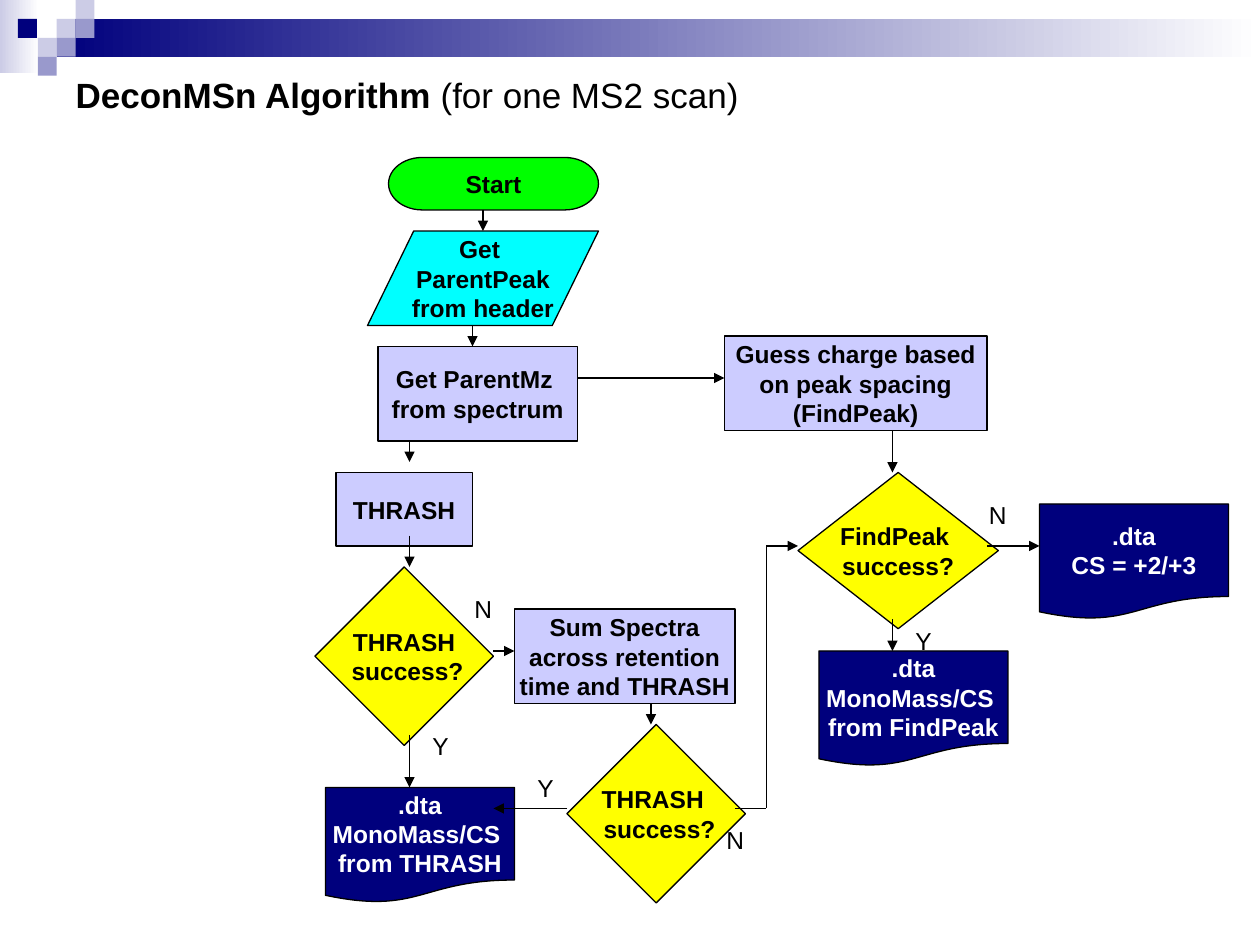
from dataclasses import dataclass
from typing import Any, NamedTuple

from lxml.etree import SubElement
from pptx import Presentation
from pptx.dml.color import RGBColor
from pptx.enum.shapes import MSO_CONNECTOR, MSO_SHAPE
from pptx.enum.text import MSO_ANCHOR, MSO_AUTO_SIZE, PP_ALIGN
from pptx.oxml.ns import qn
from pptx.util import Pt


@dataclass(frozen=True)
class Theme:
    font: str = "Arial"
    title: float = 20
    body: float = 14
    line: float = 0.74
    black: str = "000000"
    white: str = "FFFFFF"
    navy: str = "00007D"
    pale: str = "CCCCE6"
    mid: str = "9999CC"
    green: str = "00FF00"
    cyan: str = "00FFFF"
    lilac: str = "CCCCFF"
    yellow: str = "FFFF00"


class Kind(NamedTuple):
    form: MSO_SHAPE
    fill: str
    ink: str


class Node(NamedTuple):
    kind: Kind
    left: float
    top: float
    width: float
    height: float
    text: str


class Link(NamedTuple):
    x1: float
    y1: float
    x2: float
    y2: float
    head: bool = True


class Label(NamedTuple):
    text: str
    left: float
    top: float


class Band(NamedTuple):
    left: float
    top: float
    width: float
    height: float
    start: str


class Tile(NamedTuple):
    col: float
    row: float
    fill: str


LOOK = Theme()
TILE = 10.8

START = Kind(MSO_SHAPE.FLOWCHART_TERMINATOR, LOOK.green, LOOK.black)
INPUT = Kind(MSO_SHAPE.FLOWCHART_DATA, LOOK.cyan, LOOK.black)
STEP = Kind(MSO_SHAPE.FLOWCHART_PROCESS, LOOK.lilac, LOOK.black)
TEST = Kind(MSO_SHAPE.FLOWCHART_DECISION, LOOK.yellow, LOOK.black)
FILE = Kind(MSO_SHAPE.FLOWCHART_DOCUMENT, LOOK.navy, LOOK.white)

BANDS = [
    Band(0, 0, 22.3, 42, LOOK.pale),
    Band(32.4, TILE, 687.6, 21.6, LOOK.navy),
]
TILES = [
    Tile(3, 1, LOOK.pale),
    Tile(4, 0, LOOK.pale),
    Tile(4, 1, LOOK.mid),
    Tile(2, 2, LOOK.pale),
    Tile(0.95, 1, LOOK.navy),
    Tile(3, 2, LOOK.mid),
    Tile(2, 3, LOOK.mid),
]
NODES = [
    Node(START, 222, 90, 120, 30, "Start"),
    Node(INPUT, 210, 132, 132, 54, "Get \nParentPeak\nfrom header"),
    Node(STEP, 216, 198, 114, 54, "Get ParentMz \nfrom spectrum"),
    Node(STEP, 414, 192, 150, 54, "Guess charge based\non peak spacing\n(FindPeak)"),
    Node(STEP, 192, 270, 78, 42, "THRASH"),
    Node(FILE, 594, 288, 108, 66, ".dta\nCS = +2/+3"),
    Node(TEST, 180, 324, 102, 102, "THRASH\n success?"),
    Node(TEST, 456, 270, 114.5, 89.3, "FindPeak \nsuccess?"),
    Node(STEP, 294, 348, 126, 54, "Sum Spectra\nacross retention\ntime and THRASH"),
    Node(TEST, 324, 414, 102, 102, "THRASH \n success?"),
    Node(FILE, 186, 450, 108, 66, ".dta\nMonoMass/CS \nfrom THRASH"),
    Node(FILE, 468, 372, 108, 66, ".dta\nMonoMass/CS \nfrom FindPeak"),
]
LINKS = [
    Link(276, 120, 276, 132),
    Link(270, 186, 270, 198),
    Link(234, 252, 234, 264),
    Link(234, 306, 234, 324),
    Link(330, 216, 414, 216),
    Link(510, 246, 510, 270),
    Link(234, 420, 234, 450),
    Link(282, 372, 294, 372),
    Link(372, 402, 372, 414),
    Link(324, 462, 282, 462),
    Link(420, 462, 438, 462, False),
    Link(438, 312, 438, 462, False),
    Link(438, 312, 456, 312),
    Link(510, 354, 510, 372),
    Link(564, 312, 594, 312),
]
LABELS = [
    Label("N", 264, 336),
    Label("N", 408, 468),
    Label("Y", 240, 414),
    Label("Y", 300, 438),
    Label("N", 558, 282),
    Label("Y", 516, 354),
]


def apply(item: Any, values: dict[str, Any]) -> None:
    for name, value in values.items():
        setattr(item, name, value)


def style(run: Any, size: float, ink: str, bold: bool) -> None:
    apply(run.font, {"name": LOOK.font, "size": Pt(size), "bold": bold})
    run.font.color.rgb = RGBColor.from_string(ink)


def write(frame: Any, text: str, ink: str, bold: bool, form: dict[str, Any]) -> None:
    frame.text = text
    for para in frame.paragraphs:
        apply(para, form)
        for run in para.runs:
            style(run, LOOK.body, ink, bold)


def block(slide: Any, form: MSO_SHAPE, *box: float) -> Any:
    shape = slide.shapes.add_shape(form, *map(Pt, box))
    shape.shadow.inherit = False
    shape.line.fill.background()
    return shape


def paint(shape: Any, fill: str) -> None:
    shape.fill.solid()
    shape.fill.fore_color.rgb = RGBColor.from_string(fill)


def rule(line: Any) -> None:
    line.width = Pt(LOOK.line)
    line.color.rgb = RGBColor.from_string(LOOK.black)


def add_band(slide: Any, band: Band) -> None:
    shape = block(slide, MSO_SHAPE.RECTANGLE, *band[:4])
    shape.fill.gradient()
    shape.fill.gradient_angle = 0
    for stop, tint in zip(shape.fill.gradient_stops, (band.start, LOOK.white)):
        stop.color.rgb = RGBColor.from_string(tint)


def add_tile(slide: Any, tile: Tile) -> None:
    box = (tile.col * TILE, tile.row * TILE, TILE, TILE)
    paint(block(slide, MSO_SHAPE.RECTANGLE, *box), tile.fill)


def add_node(slide: Any, node: Node) -> None:
    shape = block(slide, node.kind.form, *node[1:5])
    paint(shape, node.kind.fill)
    rule(shape.line)
    frame = shape.text_frame
    apply(frame, {"word_wrap": False, "vertical_anchor": MSO_ANCHOR.MIDDLE})
    write(frame, node.text, node.kind.ink, True, {"alignment": PP_ALIGN.CENTER})


def add_link(slide: Any, link: Link) -> None:
    wire = slide.shapes.add_connector(MSO_CONNECTOR.STRAIGHT, *map(Pt, link[:4]))
    rule(wire.line)
    if link.head:
        SubElement(wire.line._get_or_add_ln(), qn("a:tailEnd"), type="triangle")
    SubElement(wire._element.spPr, qn("a:effectLst"))


def add_label(slide: Any, label: Label) -> None:
    box = slide.shapes.add_textbox(Pt(label.left), Pt(label.top), Pt(24), Pt(24.5))
    frame = box.text_frame
    apply(frame, {"word_wrap": True, "auto_size": MSO_AUTO_SIZE.SHAPE_TO_FIT_TEXT})
    write(frame, label.text, LOOK.black, False, {"space_before": Pt(8.8)})


def add_title(slide: Any) -> None:
    title = slide.shapes.title
    apply(title, {"left": Pt(36), "top": Pt(36), "width": Pt(648), "height": Pt(36)})
    frame = title.text_frame
    apply(frame, {"vertical_anchor": MSO_ANCHOR.MIDDLE, "auto_size": MSO_AUTO_SIZE.NONE})
    para = frame.paragraphs[0]
    para.alignment = PP_ALIGN.LEFT
    for text, bold in (("DeconMSn Algorithm ", True), ("(for one MS2 scan)", False)):
        run = para.add_run()
        run.text = text
        style(run, LOOK.title, LOOK.black, bold)


deck = Presentation()
apply(deck, {"slide_width": Pt(720), "slide_height": Pt(540)})
slide = deck.slides.add_slide(deck.slide_layouts[5])
add_title(slide)
for draw, items in (
    (add_band, BANDS),
    (add_tile, TILES),
    (add_node, NODES),
    (add_link, LINKS),
    (add_label, LABELS),
):
    for item in items:
        draw(slide, item)
deck.save("out.pptx")
